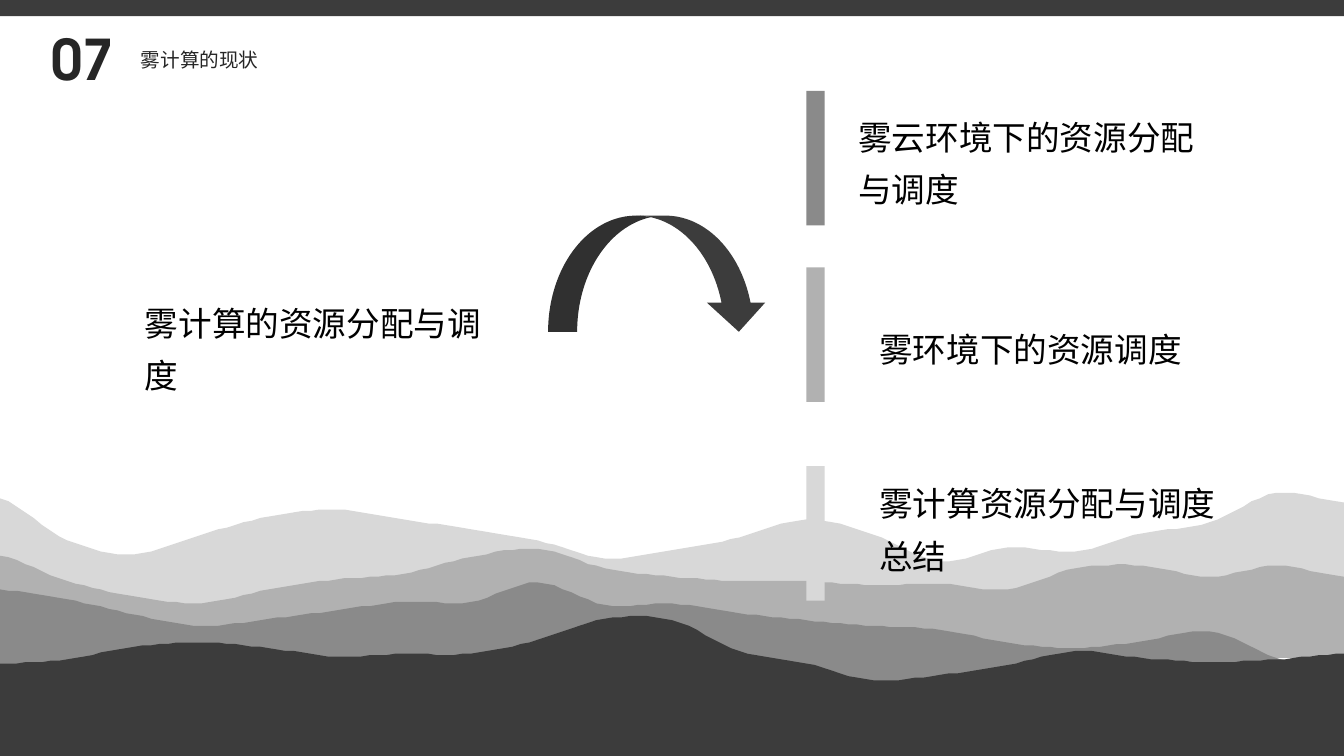
from lxml import etree
from pptx import Presentation
from pptx.dml.color import RGBColor
from pptx.enum import shapes, text
from pptx.oxml import ns
from pptx.util import Pt

WIDE, HIGH = 960, 540
DARK, GRAY, MID, PALE = "3C3C3C", "8A8A8A", "B1B1B1", "D8D8D8"
SANS, GEO = "Noto Sans CJK SC", "TeX Gyre Adventor"

# Each range of hills: colour, foot, ridge heights at equal steps.
HILLS = [
    (PALE, 435, [356, 386, 396, 382, 369, 364, 371, 378, 386, 399, 393,
                 384, 371, 382, 401, 391, 394, 381, 373, 352, 359]),
    (MID, 470, [397, 415, 426, 431, 421, 414, 410, 398, 392, 406, 412,
                415, 415, 418, 417, 421, 406, 404, 412, 404, 412]),
    (GRAY, 487, [421, 428, 439, 447, 442, 436, 430, 430, 416, 432, 431,
                 438, 443, 447, 450, 459, 463, 458, 451, 470, 485]),
    (DARK, HIGH, [474, 471, 462, 459, 463, 469, 467, 467, 457, 442, 443,
                  465, 474, 486, 482, 475, 465, 470, 473, 471, 467]),
]

# Each topic: bar top, bar colour, text left, text top, text height, wording.
TOPICS = [
    (65, GRAY, 606, 71, 83, "雾云环境下的资源分配与调度"),
    (191, MID, 621, 222.5, 45, "雾环境下的资源调度"),
    (333, PALE, 621, 333, 83, "雾计算资源分配与调度总结"),
]


def tint(fill, code):
    fill.solid()
    fill.fore_color.rgb = RGBColor.from_string(code)


def plain(shape, code):
    tint(shape.fill, code)
    shape.line.fill.background()
    shape.shadow.inherit = False


def block(slide, kind, box, code):
    plain(slide.shapes.add_shape(kind, *map(Pt, box)), code)


def label(slide, box, words, size, font=SANS, code="000000", bold=False,
          lead=1.3, wrap=True, anchor=text.MSO_ANCHOR.TOP):
    frame = slide.shapes.add_textbox(*map(Pt, box)).text_frame
    frame.word_wrap = wrap
    frame.vertical_anchor = anchor
    frame.text = words
    para = frame.paragraphs[0]
    para.line_spacing = lead
    run = para.runs[0]
    run.font.size = Pt(size)
    run.font.bold = bold
    run.font.name = font
    tint(run.font.fill, code)
    east = etree.SubElement(run.font._element, ns.qn("a:ea"))
    east.set("typeface", font)


def smooth(ridge, steps=8):
    """Return points on a soft curve through equally spaced heights."""
    gap = WIDE / (len(ridge) - 1)
    ends = [ridge[0], *ridge, ridge[-1]]
    curve = [(0, ridge[0])]
    for i, (a, b, c, d) in enumerate(zip(ends, ends[1:], ends[2:], ends[3:])):
        for step in range(1, steps + 1):
            t = step / steps
            bend = 2 * a - 5 * b + 4 * c - d
            twist = 3 * (b - c) + d - a
            y = b + t * (c - a + t * (bend + t * twist)) / 2
            curve.append(((i + t) * gap, y))
    return curve


def scene(slide):
    """Draw the hills and the band along the top edge."""
    for code, foot, ridge in HILLS:
        first, *rest = smooth(ridge) + [(WIDE, foot), (0, foot)]
        pen = slide.shapes.build_freeform(*first, scale=Pt(1))
        pen.add_line_segments(rest)
        plain(pen.convert_to_shape(), code)
    block(slide, shapes.MSO_SHAPE.RECTANGLE, (0, 0, WIDE, 11.5), DARK)


def header(slide, left, top):
    label(slide, (left, top, 62, 46), "07", 40, GEO, "262626", True, 0.9,
          wrap=False)
    label(slide, (left + 64, top + 9.5, 171, 29), "雾计算的现状", 14, GEO,
          "262626", lead=0.9, anchor=text.MSO_ANCHOR.MIDDLE)


def topics(slide, left):
    for top, code, x, y, high, words in TOPICS:
        block(slide, shapes.MSO_SHAPE.RECTANGLE, (left, top, 13, 96), code)
        label(slide, (x, y, 258, high), words, 24)


def main():
    deck = Presentation()
    deck.slide_width, deck.slide_height = Pt(WIDE), Pt(HIGH)
    slide = deck.slides.add_slide(deck.slide_layouts[6])
    scene(slide)
    topics(slide, 576)
    label(slide, (96.5, 204, 258, 83), "雾计算的资源分配与调度", 24)
    block(slide, shapes.MSO_SHAPE.CURVED_DOWN_ARROW, (391.5, 154, 157, 83),
          DARK)
    header(slide, 29.5, 19.5)
    deck.save("out.pptx")


if __name__ == "__main__":
    main()
